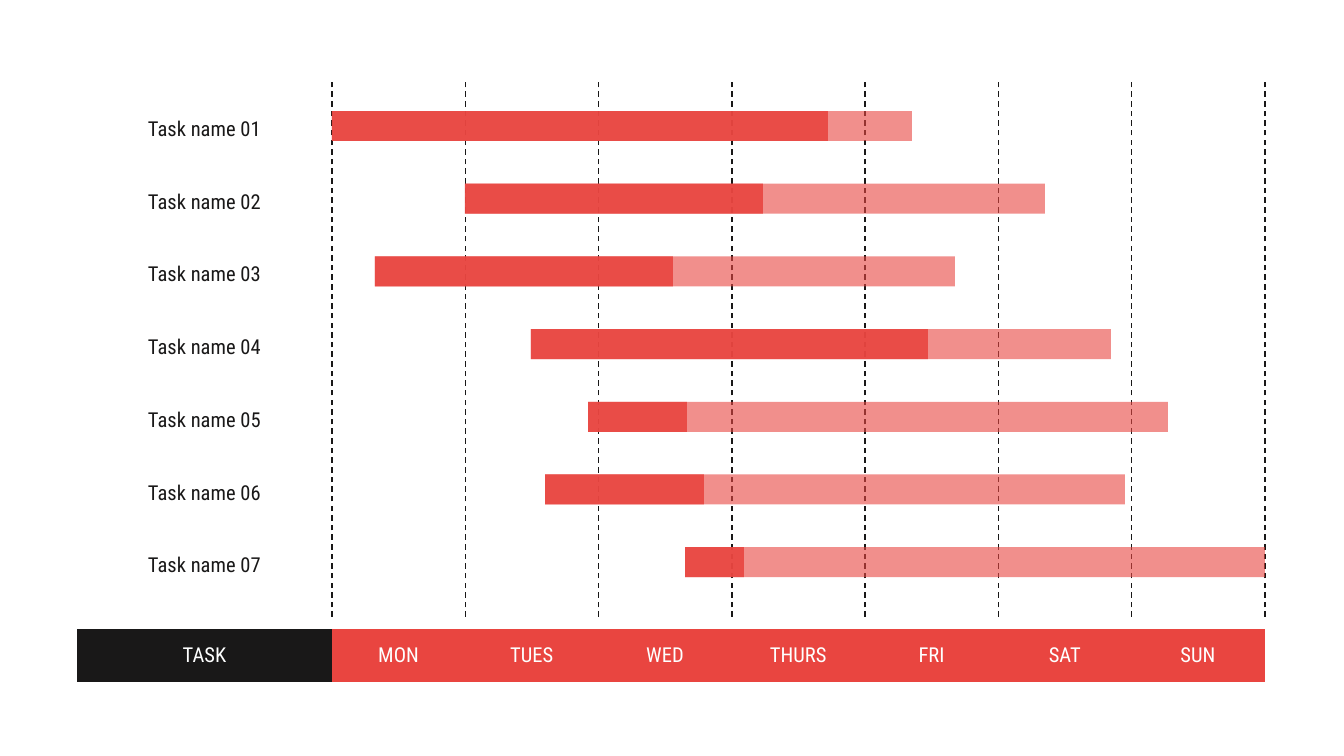
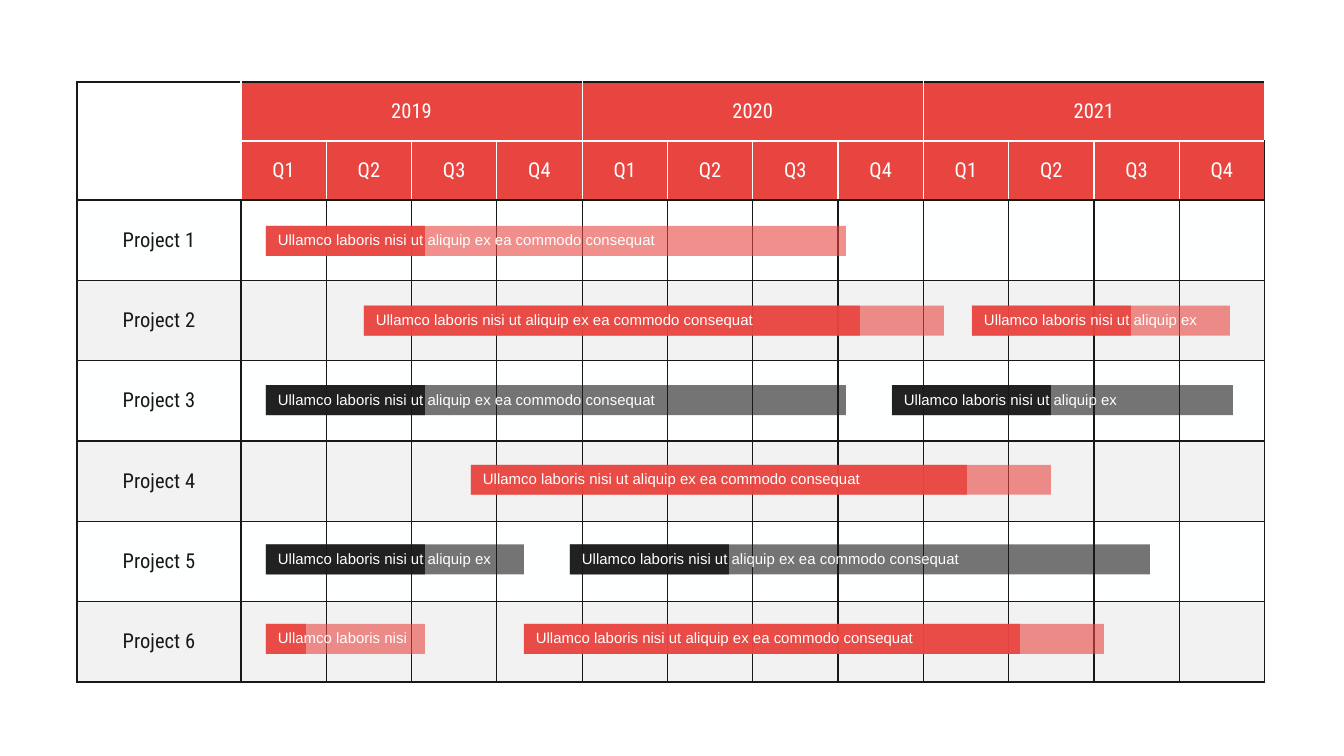
import pptx
import pptx.util
import pptx.dml.color
import pptx.enum.dml
import pptx.enum.shapes
import pptx.enum.text
import pptx.oxml.ns
import lxml.etree

RGB = pptx.dml.color.RGBColor
RED = RGB(0xE9, 0x45, 0x40)
DARK = RGB(0x19, 0x18, 0x18)
WHITE = RGB(0xFE, 0xFF, 0xFF)
GREY = RGB(0xE7, 0xE7, 0xE7)

HEAD = "Roboto Condensed"
BODY = "Arial"
SCALE = 914400 / 134.4
BAR = 30
PLAIN = "{2D5ABB26-0587-4C30-8999-92F81FD0307C}"
ALIGN = pptx.enum.text.PP_ALIGN
ANCHOR = pptx.enum.text.MSO_ANCHOR
qn = pptx.oxml.ns.qn


def px(num):
    return pptx.util.Emu(round(num * SCALE))


def write(frame, text, size=11, font=HEAD, color=DARK, align=ALIGN.CENTER):
    para = frame.paragraphs[0]
    para.alignment = align
    run = para.add_run()
    run.text = text
    run.font.size = pptx.util.Pt(size)
    run.font.name = font
    run.font.color.rgb = color


def label(shapes, box, text, pad=3, **form):
    frame = shapes.add_textbox(*map(px, box)).text_frame
    frame.word_wrap = True
    frame.margin_left = frame.margin_right = px(pad)
    frame.margin_top = frame.margin_bottom = px(3)
    write(frame, text, **form)


def paint(fill, color, alpha=100):
    fill.solid()
    fill.fore_color.rgb = color
    if alpha < 100:
        node = fill._xPr.find(qn("a:solidFill"))[0]
        lxml.etree.SubElement(node, qn("a:alpha")).set("val", str(alpha * 1000))


def border(cell, **sides):
    """Draw the L, R, T and B edges of a cell, in that order."""
    props = cell._tc.get_or_add_tcPr()
    for spot, (side, color) in enumerate(sides.items()):
        line = lxml.etree.Element(qn("a:ln" + side), w=str(pptx.util.Pt(0.75)))
        fill = lxml.etree.SubElement(line, qn("a:solidFill"))
        lxml.etree.SubElement(fill, qn("a:srgbClr"), val=str(color))
        props.insert(spot, line)


def grid(slide, left, top, cols, rows):
    """Add a plain table with the given column widths and row heights."""
    box = map(px, (left, top, sum(cols), sum(rows)))
    table = slide.shapes.add_table(len(rows), len(cols), *box).table
    table.first_row = table.horz_banding = False
    table._tbl.tblPr.find(qn("a:tableStyleId")).text = PLAIN
    for col, wide in zip(table.columns, cols):
        col.width = px(wide)
    for row, high in zip(table.rows, rows):
        row.height = px(high)
    return table


def fill_cell(cell, text, color):
    cell.vertical_anchor = ANCHOR.MIDDLE
    cell.margin_left = cell.margin_right = px(5)
    cell.margin_top = cell.margin_bottom = px(3)
    write(cell.text_frame, text, color=color)


def add_bar(slide, left, top, full, done, color=RED, note=None):
    """Group a pale full bar, its done part and an optional note."""
    group = slide.shapes.add_group_shape().shapes
    for wide, alpha in ((full, 60), (done, 90)):
        rect = group.add_shape(pptx.enum.shapes.MSO_SHAPE.RECTANGLE,
                               *map(px, (left, top, wide, BAR)))
        rect.shadow.inherit = False
        rect.line.fill.background()
        paint(rect.fill, color, alpha)
    if note:
        text, wide = note
        label(group, (left + 7, top + 2, wide, 24), text, pad=5,
              size=8, font=BODY, color=WHITE, align=ALIGN.LEFT)


# Weekly plan
DAYS = ["MON", "TUES", "WED", "THURS", "FRI", "SAT", "SUN"]
TASKS = [  # start, done
    (0, 496), (133, 298), (43, 298), (199, 397),
    (256, 99), (213, 159), (353, 59),
]


def week(slide, left, top, width, height):
    side, foot = 255, 53
    step = (width - side) / len(DAYS)
    start = left + side
    base = top + height - foot

    # Day band
    table = grid(slide, left, base, [side] + [step] * len(DAYS), [foot])
    for spot, text in enumerate(["TASK"] + DAYS):
        cell = table.cell(0, spot)
        fill_cell(cell, text, WHITE)
        paint(cell.fill, RED if spot else DARK)

    # Day lines
    for spot in range(len(DAYS) + 1):
        x = px(start + spot * step)
        line = slide.shapes.add_connector(
            pptx.enum.shapes.MSO_CONNECTOR.STRAIGHT, x, px(base - 12), x, px(top))
        line.line.color.rgb = DARK
        line.line.width = pptx.util.Pt(0.75)
        line.line.dash_style = pptx.enum.dml.MSO_LINE.DASH
        lxml.etree.SubElement(line._element.spPr, qn("a:effectLst"))

    # Tasks
    for spot, (shift, done) in enumerate(TASKS):
        y = top + 30 + spot * 72.7
        label(slide.shapes, (left, y + 2, side, BAR), f"Task name {spot + 1:02}")
        add_bar(slide, start + shift, y, 580, done)


# Project plan
YEARS = ["2019", "2020", "2021"]
LONG = ("Ullamco laboris nisi ut aliquip ex ea commodo consequat", 418)
MID = ("Ullamco laboris nisi ut aliquip ex", 252)
SHORT = ("Ullamco laboris nisi", 152)
FILLS = [(WHITE, 100), (GREY, 50), (WHITE, 100),
         (GREY, 50), (WHITE, 50), (GREY, 50)]
BARS = [  # project, start, full, done, color, note
    (0, 189, 580, 159, RED, LONG),
    (1, 287, 580, 496, RED, LONG),
    (1, 895, 258, 159, RED, MID),
    (2, 189, 580, 159, DARK, LONG),
    (2, 815, 341, 159, DARK, MID),
    (3, 394, 580, 496, RED, LONG),
    (4, 189, 258, 159, DARK, MID),
    (4, 493, 580, 159, DARK, LONG),
    (5, 189, 159, 40, RED, SHORT),
    (5, 447, 580, 496, RED, LONG),
]


def plan(slide, left, top, width, height):
    side, head = 164, 59
    last = len(YEARS) * 4
    step = (width - side) / last
    high = (height - 2 * head) / len(FILLS)
    table = grid(slide, left, top, [side] + [step] * last,
                 [head] * 2 + [high] * len(FILLS))

    # Fills and borders
    for r in range(len(FILLS) + 2):
        for c in range(last + 1):
            cell = table.cell(r, c)
            if r > 1:
                paint(cell.fill, *FILLS[r - 2])
            elif c:
                paint(cell.fill, RED)
            else:
                cell.fill.background()
            border(cell,
                   L=WHITE if r < 2 and c else DARK,
                   R=WHITE if r < 2 and c < last else DARK,
                   T=WHITE if r == 1 and c else DARK,
                   B=WHITE if r == 0 and c else DARK)

    # Headings
    table.cell(0, 0).merge(table.cell(1, 0))
    for spot, year in enumerate(YEARS):
        first = spot * 4 + 1
        table.cell(0, first).merge(table.cell(0, first + 3))
        fill_cell(table.cell(0, first), year, WHITE)
        for part in range(4):
            fill_cell(table.cell(1, first + part), f"Q{part + 1}", WHITE)
    for spot in range(len(FILLS)):
        fill_cell(table.cell(spot + 2, 0), f"Project {spot + 1}", DARK)

    # Bars
    for spot, shift, full, done, color, note in BARS:
        add_bar(slide, left + shift, top + 144 + spot * 79.6,
                full, done, color, note)


def main():
    deck = pptx.Presentation()
    deck.slide_width, deck.slide_height = px(1344), px(756)
    for draw, box in ((week, (77, 81, 1188, 601)), (plan, (77, 82, 1188, 600))):
        draw(deck.slides.add_slide(deck.slide_layouts[6]), *box)
    deck.save("out.pptx")


if __name__ == "__main__":
    main()
